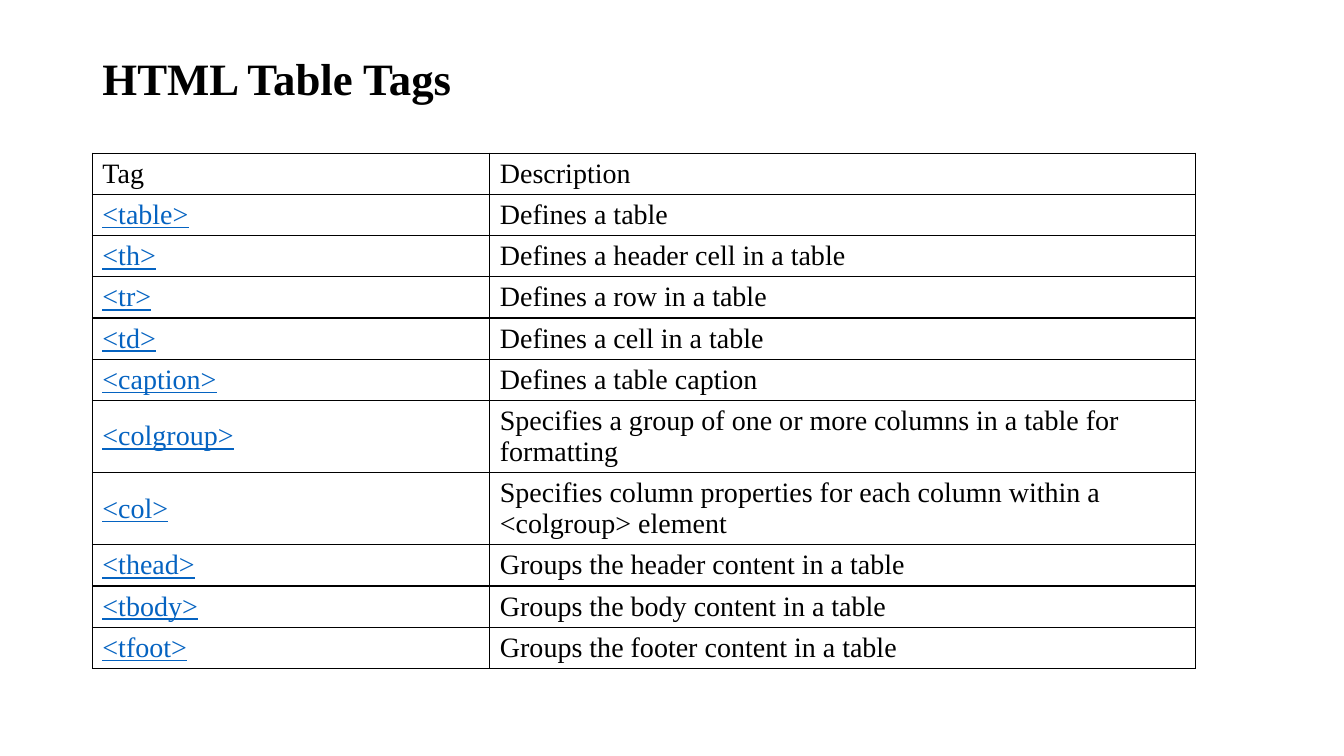
from dataclasses import dataclass
from lxml.etree import SubElement
from pptx import Presentation
from pptx.dml.color import RGBColor as RGB
from pptx.enum.text import MSO_ANCHOR as Anchor, PP_ALIGN as Align
from pptx.oxml.ns import qn
from pptx.util import Pt


@dataclass(frozen=True)
class Theme:
    font: str = "Times New Roman"
    ink: str = "000000"
    link: str = "0563C1"
    head: int = 32
    body: int = 20
    rule: int = 1


THEME = Theme()
COLS = (283.9, 504.1)
LINE, WRAP = 27.4, 48.2
LONG = 60
ROWS = [
    ("Tag", "Description"),
    ("<table>", "Defines a table"),
    ("<th>", "Defines a header cell in a table"),
    ("<tr>", "Defines a row in a table"),
    ("<td>", "Defines a cell in a table"),
    ("<caption>", "Defines a table caption"),
    ("<colgroup>", "Specifies a group of one or more columns in a table for formatting"),
    ("<col>", "Specifies column properties for each column within a <colgroup> element"),
    ("<thead>", "Groups the header content in a table"),
    ("<tbody>", "Groups the body content in a table"),
    ("<tfoot>", "Groups the footer content in a table"),
]


def style(para, size, color, bold=False, under=False):
    font = para.font
    font.name, font.size = THEME.font, Pt(size)
    font.bold, font.underline = bold, under
    font.color.rgb = RGB.from_string(color)


def border(cell):
    props = cell._tc.get_or_add_tcPr()
    for i, side in enumerate(("lnL", "lnR", "lnT", "lnB")):
        line = props.makeelement(qn(f"a:{side}"), {"w": str(Pt(THEME.rule))})
        fill = SubElement(line, qn("a:solidFill"))
        SubElement(fill, qn("a:srgbClr"), val=THEME.ink)
        props.insert(i, line)


def add_title(slide, text, left, top, width, height):
    title = slide.shapes.title
    title.left, title.top = Pt(left), Pt(top)
    title.width, title.height = Pt(width), Pt(height)
    frame = title.text_frame
    frame.text = text
    frame.word_wrap = True
    frame.vertical_anchor = Anchor.MIDDLE
    para = frame.paragraphs[0]
    para.alignment = Align.LEFT
    para.line_spacing = 0.9
    style(para, THEME.head, THEME.ink, bold=True)


def fill_cell(cell, text, link):
    cell.text = text
    cell.vertical_anchor = Anchor.MIDDLE
    cell.fill.background()
    border(cell)
    color = THEME.link if link else THEME.ink
    style(cell.text_frame.paragraphs[0], THEME.body, color, under=link)


def add_tags(slide, left, top):
    highs = [WRAP if len(text) > LONG else LINE for _, text in ROWS]
    table = slide.shapes.add_table(
        len(ROWS), len(COLS), Pt(left), Pt(top), Pt(sum(COLS)), Pt(sum(highs))
    ).table
    table.horz_banding = False
    for col, width in zip(table.columns, COLS):
        col.width = Pt(width)
    for r, (row, high) in enumerate(zip(table.rows, highs)):
        row.height = Pt(high)
        for c, text in enumerate(ROWS[r]):
            fill_cell(table.cell(r, c), text, link=r > 0 and c == 0)


def main():
    deck = Presentation()
    deck.slide_width, deck.slide_height = Pt(960), Pt(540)
    slide = deck.slides.add_slide(deck.slide_layouts.get_by_name("Title Only"))
    add_title(slide, "HTML Table Tags", 66, 28.8, 828, 57.6)
    add_tags(slide, 66, 109.4)
    deck.save("out.pptx")


if __name__ == "__main__":
    main()
